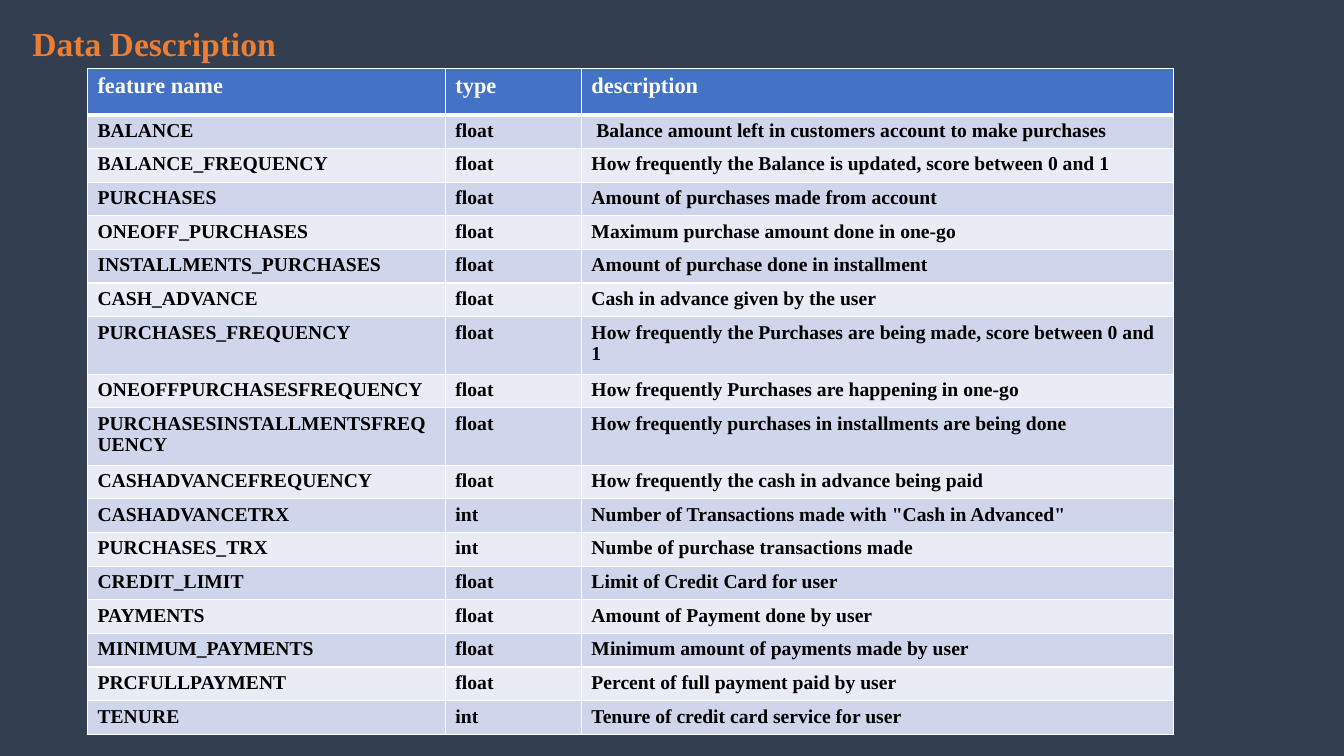
from lxml import etree
from pptx import Presentation
from pptx.dml.color import RGBColor
from pptx.enum.text import MSO_AUTO_SIZE
from pptx.oxml.ns import qn
from pptx.util import Pt

FIT_SHAPE = MSO_AUTO_SIZE.SHAPE_TO_FIT_TEXT
NAVY = RGBColor(0x33, 0x3F, 0x50)
ORANGE = RGBColor(0xED, 0x7D, 0x31)
BLUE = RGBColor(0x44, 0x72, 0xC4)
BAND_DARK = RGBColor(0xCF, 0xD5, 0xEA)
BAND_LIGHT = RGBColor(0xE9, 0xEB, 0xF5)
WHITE = RGBColor(0xFF, 0xFF, 0xFF)
BLACK = RGBColor(0x00, 0x00, 0x00)

COLUMN_WIDTHS = (255.6, 97.2, 423)
HEADER_HEIGHT, ROW_HEIGHT, TWO_LINE_HEIGHT = 33, 24, 41
TWO_LINE_FEATURES = ("PURCHASES_FREQUENCY", "PURCHASESINSTALLMENTSFREQUENCY")
HEADINGS = ("feature name", "type", "description")
FEATURES = (
    ("BALANCE", "float", " Balance amount left in customers account to make purchases"),
    ("BALANCE_FREQUENCY", "float", "How frequently the Balance is updated, score between 0 and 1"),
    ("PURCHASES", "float", "Amount of purchases made from account"),
    ("ONEOFF_PURCHASES", "float", "Maximum purchase amount done in one-go"),
    ("INSTALLMENTS_PURCHASES", "float", "Amount of purchase done in installment"),
    ("CASH_ADVANCE", "float", "Cash in advance given by the user"),
    ("PURCHASES_FREQUENCY", "float", "How frequently the Purchases are being made, score between 0 and 1"),
    ("ONEOFFPURCHASESFREQUENCY", "float", "How frequently Purchases are happening in one-go"),
    ("PURCHASESINSTALLMENTSFREQUENCY", "float", "How frequently purchases in installments are being done"),
    ("CASHADVANCEFREQUENCY", "float", "How frequently the cash in advance being paid"),
    ("CASHADVANCETRX", "int", 'Number of Transactions made with "Cash in Advanced"'),
    ("PURCHASES_TRX", "int", "Numbe of purchase transactions made"),
    ("CREDIT_LIMIT", "float", "Limit of Credit Card for user"),
    ("PAYMENTS", "float", "Amount of Payment done by user"),
    ("MINIMUM_PAYMENTS", "float", "Minimum amount of payments made by user"),
    ("PRCFULLPAYMENT", "float", "Percent of full payment paid by user"),
    ("TENURE", "int", "Tenure of credit card service for user"),
)


def write(paragraph, text, size, color):
    run = paragraph.add_run()
    run.text = text
    font_format = {"name": "Times New Roman", "size": Pt(size), "bold": True}
    for attribute, value in font_format.items():
        setattr(run.font, attribute, value)
    run.font.color.rgb = color


def add_title(slide, text):
    title = slide.shapes.add_textbox(Pt(16), Pt(13), Pt(198), Pt(36))
    frame = title.text_frame
    for attribute, value in {"word_wrap": True, "auto_size": FIT_SHAPE}.items():
        setattr(frame, attribute, value)
    write(frame.paragraphs[0], text, 24, ORANGE)


def set_borders(cell, widths):
    properties = cell._tc.get_or_add_tcPr()
    for side, width in widths.items():
        line = etree.SubElement(properties, qn(f"a:ln{side}"), w=str(Pt(width)))
        fill = etree.SubElement(line, qn("a:solidFill"))
        etree.SubElement(fill, qn("a:srgbClr"), val=str(WHITE))


def fill_row(table, index, texts, height, size, color, fill, borders):
    table.rows[index].height = Pt(height)
    for cell, text in zip(table.rows[index].cells, texts):
        set_borders(cell, borders)
        cell.fill.solid()
        cell.fill.fore_color.rgb = fill
        write(cell.text_frame.paragraphs[0], text, size, color)


def add_feature_table(slide):
    heights = [TWO_LINE_HEIGHT if name in TWO_LINE_FEATURES else ROW_HEIGHT
               for name, _, _ in FEATURES]
    table = slide.shapes.add_table(
        len(FEATURES) + 1, len(HEADINGS), Pt(62.5), Pt(49),
        Pt(sum(COLUMN_WIDTHS)), Pt(HEADER_HEIGHT + sum(heights))).table
    for column, width in zip(table.columns, COLUMN_WIDTHS):
        column.width = Pt(width)

    thin = {"L": 1, "R": 1, "T": 1, "B": 1}
    fill_row(table, 0, HEADINGS, HEADER_HEIGHT, 16, WHITE, BLUE, {**thin, "B": 3})
    for index, (feature, height) in enumerate(zip(FEATURES, heights), start=1):
        band = BAND_DARK if index % 2 else BAND_LIGHT
        borders = {**thin, "T": 3} if index == 1 else thin
        fill_row(table, index, feature, height, 14, BLACK, band, borders)


def main():
    presentation = Presentation()
    presentation.slide_width, presentation.slide_height = Pt(960), Pt(540)
    slide = presentation.slides.add_slide(presentation.slide_layouts[6])
    slide.background.fill.solid()
    slide.background.fill.fore_color.rgb = NAVY
    add_title(slide, "Data Description")
    add_feature_table(slide)
    presentation.save("out.pptx")


if __name__ == "__main__":
    main()
